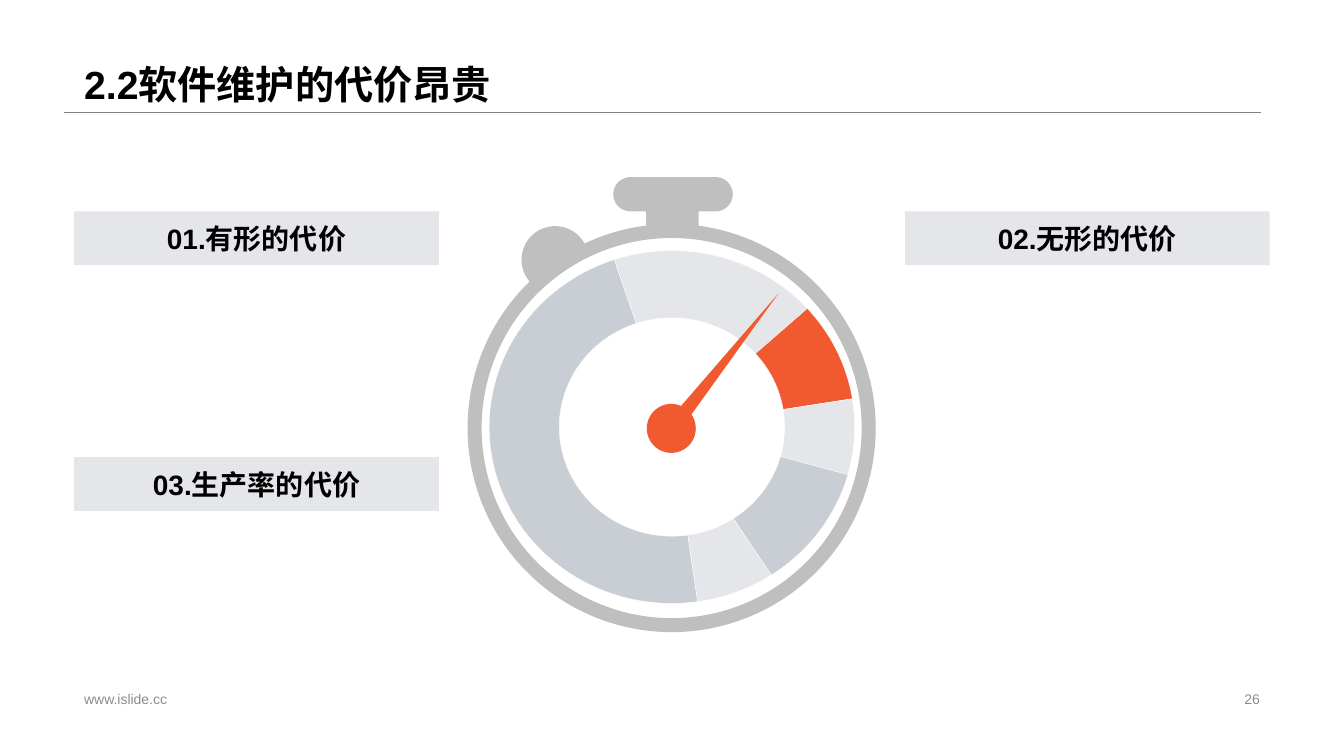
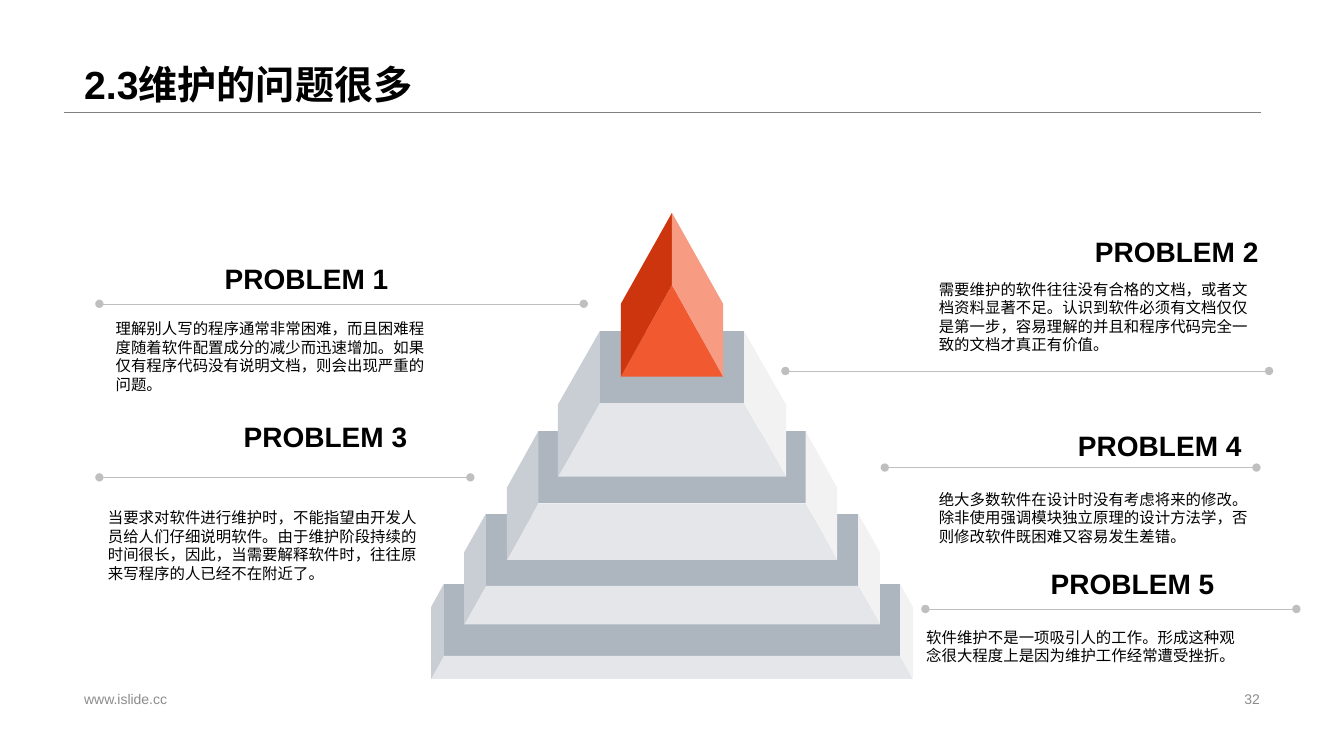
from dataclasses import dataclass
from math import ceil, cos, radians, sin, tan
from typing import Sequence

from lxml.etree import SubElement
from pptx import Presentation
from pptx.dml.color import RGBColor
from pptx.enum.lang import MSO_LANGUAGE_ID as Language
from pptx.enum.shapes import MSO_CONNECTOR as Connector, MSO_SHAPE as Preset
from pptx.enum.text import MSO_ANCHOR as Anchor, PP_ALIGN as Align
from pptx.oxml.ns import qn
from pptx.shapes.base import BaseShape
from pptx.slide import Slide
from pptx.util import Pt

SCALE = 6350
SLIDE_WIDTH, SLIDE_HEIGHT = 1920, 1080
FONT = "Arial"

BLACK = RGBColor(0x00, 0x00, 0x00)
WHITE = RGBColor(0xFF, 0xFF, 0xFF)
RULE_GRAY = RGBColor(0x80, 0x80, 0x80)
FOOTER_GRAY = RGBColor(0x8C, 0x8C, 0x8C)
METAL = RGBColor(0xBF, 0xBF, 0xBF)
SLATE = RGBColor(0xAD, 0xB5, 0xBF)
STEEL = RGBColor(0xC9, 0xCE, 0xD5)
MIST = RGBColor(0xE4, 0xE6, 0xEA)
PALE = RGBColor(0xF2, 0xF2, 0xF2)
ORANGE = RGBColor(0xF1, 0x59, 0x31)
DARK_ORANGE = RGBColor(0xCC, 0x35, 0x0E)
LIGHT_ORANGE = RGBColor(0xF7, 0x9B, 0x83)

CENTER_X = SLIDE_WIDTH // 2
DIAL_Y = 610
DIAL_OUTER = (261, 252)
DIAL_INNER = (161, 156)
STEP_HEIGHT = 103

Point = tuple[float, float]
Frame = tuple[int, int, int, int]


@dataclass(frozen=True)
class Sector:
    start: float
    end: float
    color: RGBColor


@dataclass(frozen=True)
class Label:
    text: str
    left: int
    top: int


@dataclass(frozen=True)
class Tier:
    top: int
    back: int
    front: int
    bottom: int


@dataclass(frozen=True)
class Problem:
    number: int
    heading: tuple[int, int]
    body: tuple[int, int]
    rule: tuple[int, int, int]
    text: str


SECTORS = (
    Sector(171.9, 341.6, STEEL),
    Sector(-18.4, 47.8, MIST),
    Sector(47.8, 80.8, ORANGE),
    Sector(80.8, 105.7, MIST),
    Sector(105.7, 147.1, STEEL),
    Sector(147.1, 171.9, MIST),
)

LABELS = (
    Label("01.有形的代价", 106, 302),
    Label("02.无形的代价", 1293, 302),
    Label("03.生产率的代价", 106, 653),
)

TIERS = (
    Tier(834, 326, 344, 970),
    Tier(734, 266, 297, 892),
    Tier(616, 191, 236, 800),
    Tier(473, 103, 163, 681),
)

PROBLEMS = (
    Problem(1, (84, 359), (151, 449), (142, 834, 434),
            "理解别人写的程序通常非常困难，而且困难程度随着软件配置成分的减少而迅速增加。"
            "如果仅有程序代码没有说明文档，则会出现严重的问题。"),
    Problem(2, (1327, 321), (1327, 393), (1122, 1813, 530),
            "需要维护的软件往往没有合格的文档，或者文档资料显著不足。认识到软件必须有文档"
            "仅仅是第一步，容易理解的并且和程序代码完全一致的文档才真正有价值。"),
    Problem(3, (111, 585), (140, 719), (142, 672, 682),
            "当要求对软件进行维护时，不能指望由开发人员给人们仔细说明软件。由于维护阶段持续"
            "的时间很长，因此，当需要解释软件时，往往原来写程序的人已经不在附近了。"),
    Problem(4, (1303, 598), (1327, 693), (1264, 1795, 668),
            "绝大多数软件在设计时没有考虑将来的修改。除非使用强调模块独立原理的设计方法学，"
            "否则修改软件既困难又容易发生差错。"),
    Problem(5, (1264, 796), (1309, 890), (1322, 1852, 870),
            "软件维护不是一项吸引人的工作。形成这种观念很大程度上是因为维护工作经常遭受挫折。"),
)


def px(length: float) -> int:
    return round(length * SCALE)


def write(box: BaseShape, text: str, *, size: int, color: RGBColor = BLACK,
          bold: bool = False, align: Align = Align.LEFT, anchor: Anchor = Anchor.TOP,
          wrap: bool = True, spacing: float = 1.0) -> None:
    frame = box.text_frame
    frame.word_wrap = wrap
    frame.vertical_anchor = anchor
    para = frame.paragraphs[0]
    para.alignment = align
    para.line_spacing = spacing
    span = para.add_run()
    span.text = text
    font = span.font
    font.name, font.size, font.bold = FONT, Pt(size), bold
    font.color.rgb = color
    font.language_id = Language.SIMPLIFIED_CHINESE
    SubElement(span._r.get_or_add_rPr(), qn("a:ea"), typeface=FONT)


def add_text(page: Slide, frame: Frame, text: str, **style) -> None:
    write(page.shapes.add_textbox(*map(px, frame)), text, **style)


def paint(shape: BaseShape, fill: RGBColor | None, line: RGBColor | None = None,
          weight: float = 0.25) -> None:
    shape.shadow.inherit = False
    if fill is None:
        shape.fill.background()
    else:
        shape.fill.solid()
        shape.fill.fore_color.rgb = fill
    if line is None:
        shape.line.fill.background()
    else:
        shape.line.color.rgb = line
        shape.line.width = Pt(weight)


def add_preset(page: Slide, preset: Preset, frame: Frame, fill: RGBColor | None,
               line: RGBColor | None = None, weight: float = 0.25,
               rotation: float = 0, adjust: Sequence[float] = ()) -> BaseShape:
    shape = page.shapes.add_shape(preset, *map(px, frame))
    shape.rotation = rotation
    for index, value in enumerate(adjust):
        shape.adjustments[index] = value
    paint(shape, fill, line, weight)
    return shape


def add_outline(page: Slide, points: Sequence[Point], fill: RGBColor,
                line: RGBColor | None = None) -> BaseShape:
    first, *rest = [(px(x), px(y)) for x, y in points]
    builder = page.shapes.build_freeform(*first, scale=1.0)
    builder.add_line_segments(rest, close=True)
    shape = builder.convert_to_shape()
    paint(shape, fill, line)
    return shape


def add_rule(page: Slide, left: int, right: int, y: int, color: RGBColor,
             dotted_ends: bool = False) -> None:
    rule = page.shapes.add_connector(Connector.STRAIGHT, px(left), px(y), px(right), px(y))
    rule.line.color.rgb = color
    rule.line.width = Pt(0.25)
    if dotted_ends:
        for end in ("a:headEnd", "a:tailEnd"):
            SubElement(rule.line._get_or_add_ln(), qn(end), type="oval")
    SubElement(rule._element.spPr, qn("a:effectLst"))


def add_page(deck: Presentation, title: str, number: int) -> Slide:
    page = deck.slides.add_slide(deck.slide_layouts[6])
    add_rule(page, 92, 1801, 161, RULE_GRAY)
    add_text(page, (106, 0, 1708, 161), title, size=28, bold=True,
             anchor=Anchor.BOTTOM, spacing=0.9)
    footer = dict(size=10, color=FOOTER_GRAY, anchor=Anchor.MIDDLE)
    add_text(page, (106, 982, 652, 33), "www.islide.cc", **footer)
    add_text(page, (1356, 982, 458, 33), str(number), align=Align.RIGHT, **footer)
    return page


def dial_point(radii: Point, degrees: float) -> Point:
    angle = radians(degrees)
    return CENTER_X + radii[0] * sin(angle), DIAL_Y - radii[1] * cos(angle)


def sample_arc(radii: Point, start: float, end: float, steps: int = 60) -> list[Point]:
    return [dial_point(radii, start + (end - start) * step / steps)
            for step in range(steps + 1)]


def arc_curves(radii: Point, start: float, end: float) -> list[list[Point]]:
    count = ceil(abs(end - start) / 90)
    sweep = (end - start) / count
    pull = 4 / 3 * tan(radians(sweep) / 4)
    curves = []
    for index in range(count):
        begin = start + index * sweep
        finish = begin + sweep
        (x1, y1), (x2, y2) = dial_point(radii, begin), dial_point(radii, finish)
        a, b = radians(begin), radians(finish)
        curves.append([
            (x1 + pull * radii[0] * cos(a), y1 + pull * radii[1] * sin(a)),
            (x2 - pull * radii[0] * cos(b), y2 - pull * radii[1] * sin(b)),
            (x2, y2),
        ])
    return curves


def draw_sector(page: Slide, sector: Sector) -> None:
    outer = (DIAL_OUTER, sector.start, sector.end)
    inner = (DIAL_INNER, sector.end, sector.start)
    shape = add_outline(page, sample_arc(*outer) + sample_arc(*inner), sector.color, WHITE)
    route = next(shape._element.iter(qn("a:path")))
    for segment in list(route):
        route.remove(segment)
    commands = [("a:moveTo", [dial_point(DIAL_OUTER, sector.start)])]
    commands += [("a:cubicBezTo", curve) for curve in arc_curves(*outer)]
    commands += [("a:lnTo", [dial_point(DIAL_INNER, sector.end)])]
    commands += [("a:cubicBezTo", curve) for curve in arc_curves(*inner)]
    for tag, points in commands:
        segment = SubElement(route, qn(tag))
        for x, y in points:
            SubElement(segment, qn("a:pt"), x=str(px(x) - shape.left), y=str(px(y) - shape.top))
    SubElement(route, qn("a:close"))


def draw_stopwatch(page: Slide) -> None:
    add_preset(page, Preset.CHORD, (745, 323, 96, 96), METAL, rotation=84.6,
               adjust=(27, 150.65))
    add_preset(page, Preset.OVAL, (678, 330, 563, 563), None, METAL, 10)
    add_preset(page, Preset.RECTANGLE, (923, 298, 75, 35), METAL)
    add_preset(page, Preset.ROUNDED_RECTANGLE, (876, 253, 171, 49), METAL, adjust=(0.5,))
    for sector in SECTORS:
        draw_sector(page, sector)
    add_preset(page, Preset.OVAL, (924, 577, 70, 70), ORANGE, rotation=38.3)
    add_preset(page, Preset.ISOSCELES_TRIANGLE, (1021, 392, 23, 256), ORANGE, rotation=38.3)


def draw_label(page: Slide, label: Label) -> None:
    bar = add_preset(page, Preset.RECTANGLE, (label.left, label.top, 521, 77), MIST)
    write(bar, label.text, size=20, bold=True, align=Align.CENTER,
          anchor=Anchor.MIDDLE, wrap=False)


def draw_tier(page: Slide, tier: Tier) -> None:
    lip = tier.top + STEP_HEIGHT
    back_left, back_right = CENTER_X - tier.back, CENTER_X + tier.back
    front_left, front_right = CENTER_X - tier.front, CENTER_X + tier.front
    add_outline(page, [(back_left, tier.top), (back_right, tier.top),
                       (back_right, lip), (back_left, lip)], SLATE)
    add_outline(page, [(back_left, lip), (back_right, lip),
                       (front_right, tier.bottom), (front_left, tier.bottom)], MIST)
    for back, front, color in ((back_left, front_left, STEEL),
                               (back_right, front_right, PALE)):
        add_outline(page, [(back, tier.top), (back, lip), (front, tier.bottom),
                           (front, tier.bottom - STEP_HEIGHT)], color)


def draw_peak(page: Slide) -> None:
    tip, ridge = (CENTER_X, 304), (CENTER_X, 407)
    left, right = CENTER_X - 73, CENTER_X + 73
    add_outline(page, [ridge, (right, 538), (left, 538)], ORANGE)
    for edge, color in ((left, DARK_ORANGE), (right, LIGHT_ORANGE)):
        add_outline(page, [tip, (edge, 434), (edge, 538), ridge], color)


def draw_problem(page: Slide, problem: Problem) -> None:
    add_text(page, (*problem.heading, 485, 69), f"PROBLEM {problem.number}", size=20,
             bold=True, align=Align.RIGHT, anchor=Anchor.BOTTOM, wrap=False)
    add_rule(page, *problem.rule, METAL, dotted_ends=True)
    add_text(page, (*problem.body, 485, 137), problem.text, size=11)


def main() -> None:
    deck = Presentation()
    deck.slide_width, deck.slide_height = px(SLIDE_WIDTH), px(SLIDE_HEIGHT)

    costs = add_page(deck, "2.2软件维护的代价昂贵", 26)
    draw_stopwatch(costs)
    for label in LABELS:
        draw_label(costs, label)

    problems = add_page(deck, "2.3维护的问题很多", 32)
    for tier in TIERS:
        draw_tier(problems, tier)
    draw_peak(problems)
    for problem in PROBLEMS:
        draw_problem(problems, problem)

    deck.save("out.pptx")


if __name__ == "__main__":
    main()
